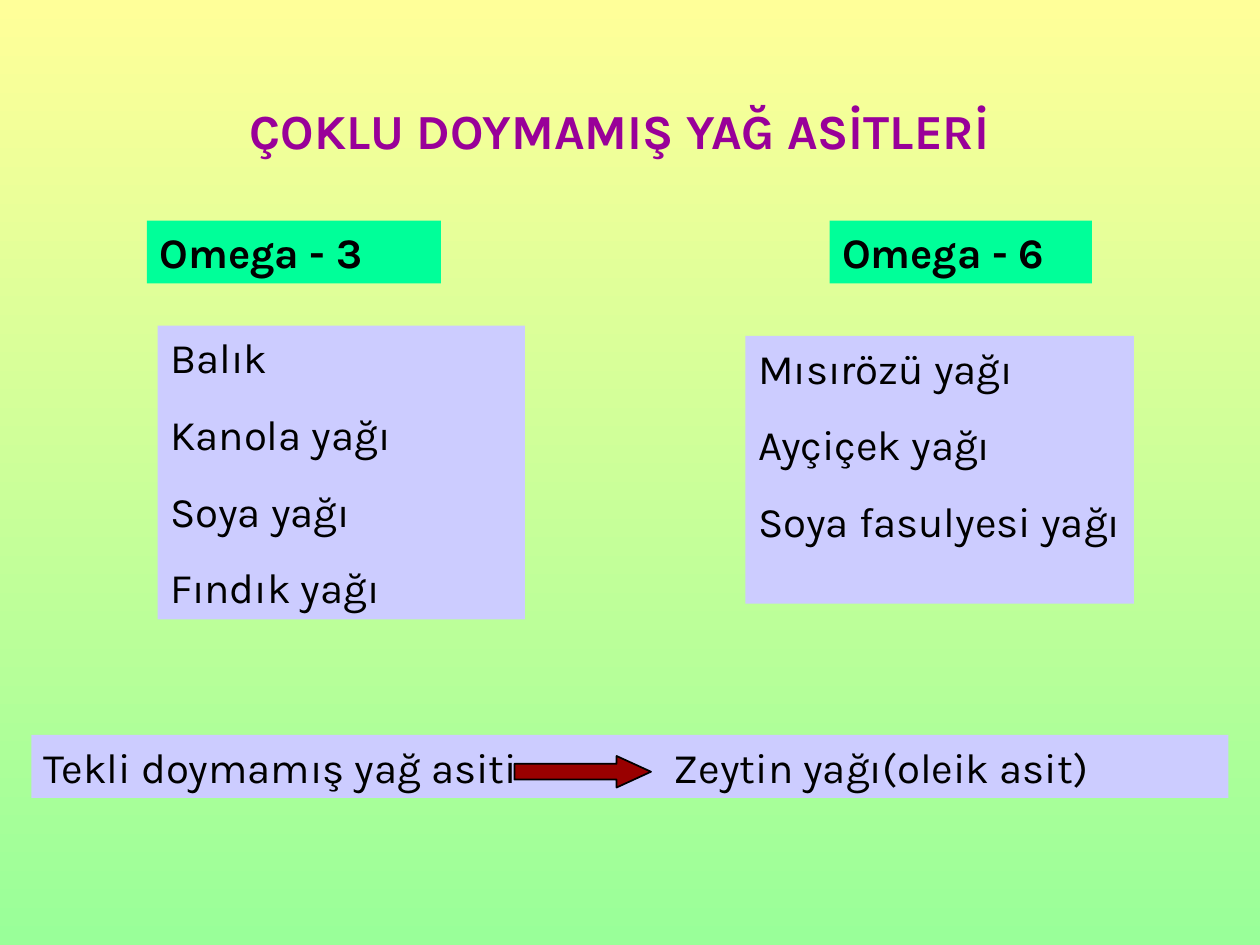
from lxml.etree import SubElement as Sub
from pptx import Presentation
from pptx.dml.color import RGBColor as RGB
from pptx.enum.shapes import MSO_SHAPE as Shape
from pptx.enum.text import MSO_ANCHOR as Anchor, MSO_AUTO_SIZE as Auto, PP_ALIGN as Align
from pptx.oxml.ns import qn
from pptx.util import Inches, Pt

HUES = {
    "top": "FFFF99", "base": "99FF99", "title": "990099", "head": "00FF99",
    "list": "CCCCFF", "text": "000000", "arrow": "990000",
}
UNIT = Inches(1) // 12


def hue(name):
    return RGB.from_string(HUES[name])


def place(shape, cols):
    shape.left, shape.top, shape.width, shape.height = (int(c * UNIT) for c in cols)


def paint(slide):
    fill = slide.background.fill
    fill.gradient()
    fill.gradient_angle = 270
    for stop, name, pos in zip(fill.gradient_stops, ("top", "base"), (0, 1)):
        stop.color.rgb = hue(name)
        stop.position = pos


def write(shape, cols, lines, fill=None, color="text", size=24, bold=False,
          align=Align.LEFT):
    place(shape, cols)
    if fill:
        shape.fill.solid()
        shape.fill.fore_color.rgb = hue(fill)
    frame = shape.text_frame
    frame.word_wrap = True
    frame.auto_size = Auto.NONE
    frame.vertical_anchor = Anchor.TOP
    frame.text = "\n".join(lines)
    for row, para in enumerate(frame.paragraphs):
        para.alignment = align
        para.space_before = Pt(15 if row else 0)
        props = para._p.get_or_add_pPr()
        props.set("marL", "0")
        props.set("indent", "0")
        props.set("defTabSz", str(Inches(1)))
        Sub(props, qn("a:buNone"))
        stops = Sub(props, qn("a:tabLst"))
        for tab in range(8):
            Sub(stops, qn("a:tab"), pos=str(Inches(tab)), algn="l")
        font = para.font
        font.name = "Karla"
        font.size = Pt(size)
        font.bold = bold
        font.color.rgb = hue(color)


def point(slide, cols):
    arrow = slide.shapes.add_shape(Shape.RIGHT_ARROW, 0, 0, UNIT, UNIT)
    place(arrow, cols)
    arrow.adjustments[0] = 0.5
    arrow.adjustments[1] = 1.09
    arrow.shadow.inherit = False
    arrow.fill.solid()
    arrow.fill.fore_color.rgb = hue("arrow")
    arrow.line.color.rgb = hue("text")
    arrow.line.width = Pt(1)


def main():
    deck = Presentation()
    deck.slide_width, deck.slide_height = 120 * UNIT, 90 * UNIT
    slide = deck.slides.add_slide(deck.slide_layouts.get_by_name("Comparison"))
    paint(slide)
    title, head3, list3, head6, list6 = list(slide.placeholders)[:5]
    write(title, (6, 9, 106, 7), ["ÇOKLU DOYMAMIŞ YAĞ ASİTLERİ"],
          color="title", size=28, bold=True, align=Align.CENTER)
    write(head3, (14, 21, 28, 6), ["Omega - 3"], "head", bold=True)
    write(head6, (79, 21, 25, 6), ["Omega - 6"], "head", bold=True)
    write(list3, (15, 31, 35, 28),
          ["Balık", "Kanola yağı", "Soya yağı", "Fındık yağı"], "list")
    write(list6, (71, 32, 37, 25.5),
          ["Mısırözü yağı", "Ayçiçek yağı", "Soya fasulyesi yağı"], "list")
    bar = slide.shapes.add_textbox(0, 0, UNIT, UNIT)
    write(bar, (3, 70, 114, 6),
          ["Tekli doymamış yağ asiti\t\tZeytin yağı(oleik asit)"], "list")
    point(slide, (49, 72, 13, 3))
    deck.save("out.pptx")


if __name__ == "__main__":
    main()
